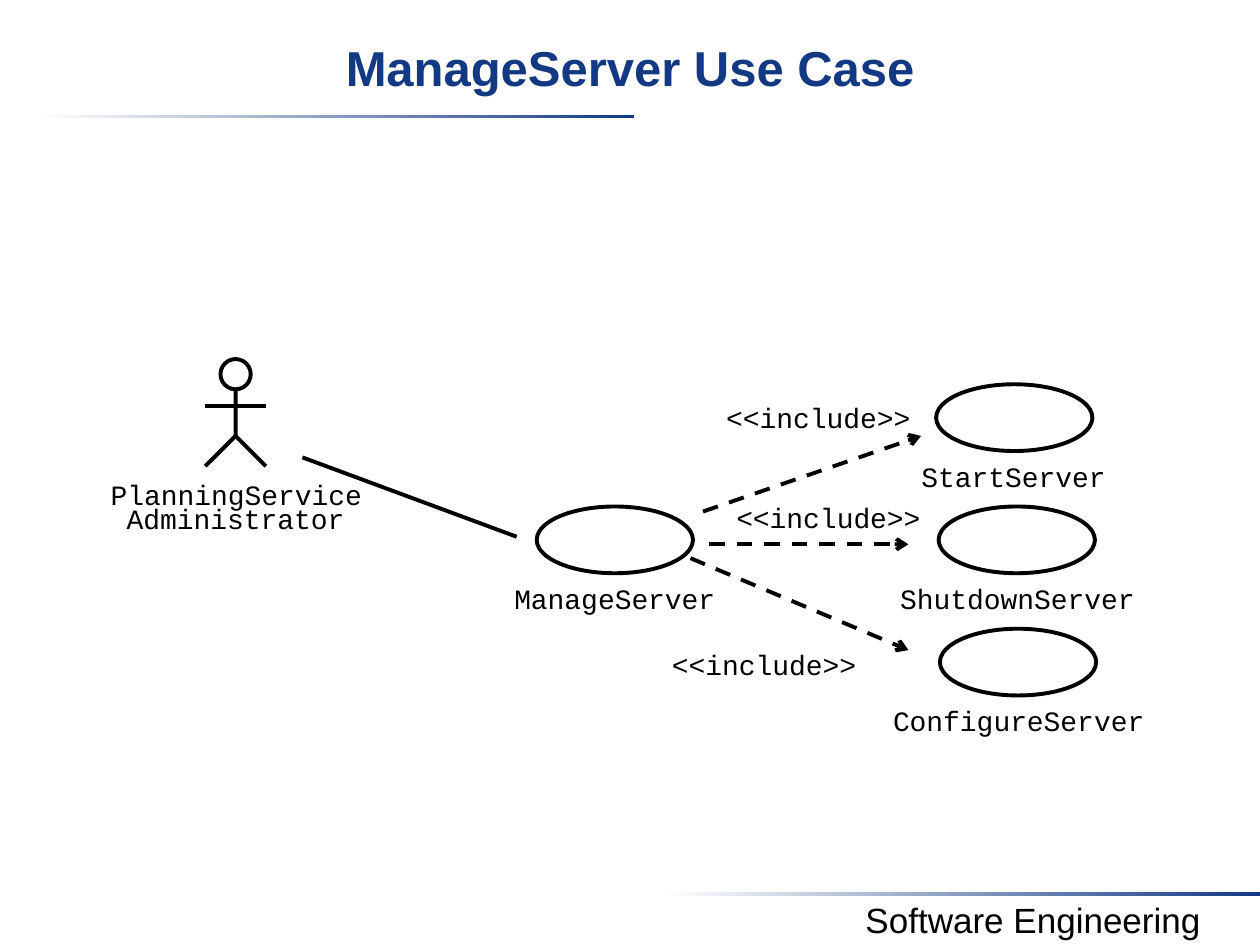
from lxml import etree
from pptx import Presentation, util as u
from pptx.dml.color import RGBColor
from pptx.enum import dml, shapes, text
from pptx.oxml.ns import qn

BLACK = RGBColor(0x00, 0x00, 0x00)
WHITE = RGBColor(0xFF, 0xFF, 0xFF)
NAVY = RGBColor(0x13, 0x39, 0x84)
SANS, MONO = "Arial", "Courier New"
COLS, ROWS = 100, 75
WIDTH, HEIGHT = u.Inches(10), u.Inches(7.5)


def col(n):
    return round(n * WIDTH / COLS)


def row(n):
    return round(n * HEIGHT / ROWS)


def box(x, y, w, h):
    return col(x), row(y), col(w), row(h)


def write(shape, words, font=MONO, size=16, color=BLACK, bold=False,
          inset=(0, 0, 0, 0), wrap=False):
    frame = shape.text_frame
    frame.word_wrap = wrap
    frame.auto_size = text.MSO_AUTO_SIZE.NONE
    frame.vertical_anchor = text.MSO_ANCHOR.TOP
    frame.margin_left, frame.margin_top = col(inset[0]), row(inset[1])
    frame.margin_right, frame.margin_bottom = col(inset[2]), row(inset[3])
    para = frame.paragraphs[0]
    para.alignment = text.PP_ALIGN.CENTER
    run = para.add_run()
    run.text = words
    run.font.name, run.font.size = font, u.Pt(size)
    run.font.bold, run.font.color.rgb = bold, color


class Chart:
    """Draws use case elements on one slide, in grid units."""
    pen = u.Pt(2.25)
    oval_w, oval_h = 12.4, 5.3
    label_h, label_gap = 2.7, 5.95

    def __init__(self, slide):
        self.slide = slide
        self.items = slide.shapes

    def ink(self, shape):
        shape.line.color.rgb = BLACK
        shape.line.width = self.pen

    def title(self, words, area):
        head = self.items.title
        head.left, head.top, head.width, head.height = box(*area)
        write(head, words, SANS, 28, NAVY, True, (1, 1, 1, 0.5), True)

    def rule(self, x, y):
        bar = self.items.add_shape(shapes.MSO_SHAPE.RECTANGLE,
                                   *box(x, y, 47.2, 0.3))
        bar.shadow.inherit = False
        bar.line.fill.background()
        bar.fill.gradient()
        bar.fill.gradient_angle = 0
        for stop, color in zip(bar.fill.gradient_stops, (WHITE, NAVY)):
            stop.color.rgb = color

    def label(self, words, x, y, w, h=label_h, **style):
        write(self.items.add_textbox(*box(x, y, w, h)), words, **style)

    def oval(self, x, y, w, h, group=None):
        ring = (group or self.slide).shapes.add_shape(
            shapes.MSO_SHAPE.OVAL, *box(x, y, w, h))
        ring.shadow.inherit = False
        ring.fill.background()
        self.ink(ring)
        return ring

    def case(self, name, x, y, left, width):
        self.oval(x, y, self.oval_w, self.oval_h)
        self.label(name, left, y + self.label_gap, width)

    def line(self, start, end, arrow=False, group=None):
        link = (group or self.slide).shapes.add_connector(
            shapes.MSO_CONNECTOR.STRAIGHT,
            col(start[0]), row(start[1]), col(end[0]), row(end[1]))
        self.ink(link)
        props = link._element.spPr
        if arrow:
            link.line.dash_style = dml.MSO_LINE.DASH
            etree.SubElement(props.find(qn("a:ln")), qn("a:tailEnd"),
                             type="arrow")
        etree.SubElement(props, qn("a:effectLst"))

    def actor(self, x, y):
        """Stick figure with its head centred on x and topped at y."""
        group = self.items.add_group_shape()
        hip, foot, reach = y + 6.1, y + 8.5, 2.4
        pen = group.shapes.build_freeform(col(x), row(y + 1.7))
        pen.add_line_segments([(col(x), row(hip)),
                               (col(x - reach), row(foot))], close=False)
        body = pen.convert_to_shape()
        body.shadow.inherit = False
        body.fill.background()
        self.ink(body)
        self.line((x, hip), (x + reach, foot), group=group)
        self.line((x - reach, y + 3.7), (x + reach, y + 3.7), group=group)
        head = self.oval(x - 1.2, y, 2.4, 2.4, group)
        head.fill.solid()
        head.fill.fore_color.rgb = WHITE


deck = Presentation()
deck.slide_width, deck.slide_height = WIDTH, HEIGHT
chart = Chart(deck.slides.add_slide(deck.slide_layouts[5]))

# Title, rules and footer
chart.rule(3.1, 9.1)
chart.rule(52.8, 70.8)
chart.label("Software Engineering", 64, 70.8, 36, 4.4, font=SANS, size=20,
            inset=(1, 0.5, 1, 0.5), wrap=True)
chart.title("ManageServer Use Case", (0, 2, 100, 7.5))

# Actor
chart.actor(18.7, 28.5)
chart.label("PlanningService", 8.7, 37.9, 20.1)
chart.label("Administrator", 10, 39.8, 17.4)
chart.line((24, 36.3), (41, 42.6))

# Use cases: name, oval corner, label left and width
for case in (("ManageServer", 42.6, 40.2, 40.8, 16),
             ("StartServer", 74.3, 30.5, 73.1, 14.7),
             ("ShutdownServer", 74.5, 40.2, 71.4, 18.7),
             ("ConfigureServer", 74.6, 49.9, 70.8, 20.1)):
    chart.case(*case)

# Include arrows: start, end, label corner
for start, end, spot in (((55.8, 40.6), (73.1, 34.6), (57.6, 31.8)),
                         ((56.3, 43.2), (72.1, 43.2), (58.4, 39.7)),
                         ((54.8, 44.3), (72.1, 51.6), (53.3, 51.4))):
    chart.line(start, end, arrow=True)
    chart.label("<<include>>", *spot, 14.7)

deck.save("out.pptx")
